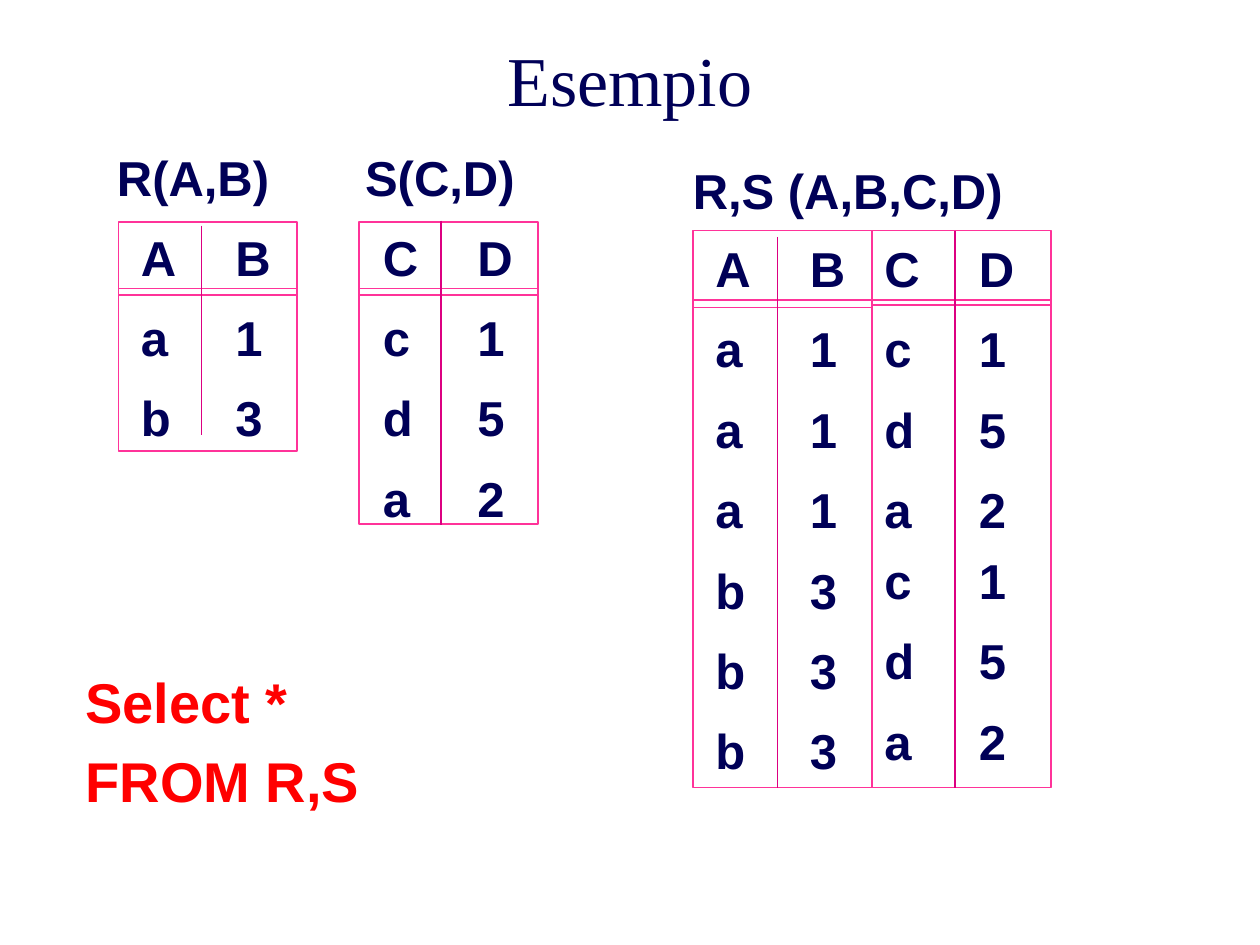
import pptx
import pptx.dml.color
import pptx.enum.shapes
import pptx.enum.text
import pptx.oxml.ns
import pptx.util
from lxml import etree
from pptx.util import Inches

NAVY, PINK, ROSE, RED = "000057", "FF3399", "DC0081", "FF0000"
ANCHOR = pptx.enum.text.MSO_ANCHOR
ALIGN = pptx.enum.text.PP_ALIGN
WIDTH = 1.42
BODY = {"name": "Arial", "size": pptx.util.Pt(28), "bold": True}
QUERY = {"name": "Arial", "size": pptx.util.Pt(32), "bold": True}
TITLE = {"name": "Times New Roman", "size": pptx.util.Pt(40)}

# left, top, height, rule heights, divider (x, top, bottom), text (left, top, height), columns
GRIDS = [
    (0.94, 1.76, 1.82, (2.29, 2.34), (1.6, 1.79, 3.45),
     (1.02, 1.66, 1.93), (["A", "a", "b"], ["B", "1", "3"])),
    (2.85, 1.76, 2.4, (2.29, 2.34), (3.5, 1.75, 4.17),
     (2.94, 1.66, 2.65), (["C", "c", "d", "a"], ["D", "1", "5", "2"])),
    (5.5, 1.83, 4.42, (2.38, 2.44), (6.17, 1.88, 6.25),
     (5.58, 1.75, 4.57), (["A", "a", "a", "a", "b", "b", "b"],
                          ["B", "1", "1", "1", "3", "3", "3"])),
    # The narrow columns wrap "a c" and "21" onto two lines
    (6.92, 1.83, 4.42, (2.38, 2.42), (7.58, 1.83, 6.25),
     (6.92, 1.75, 4.53), (["C", "c", "d", "a c", "d", "a"],
                          ["D", "1", "5", "21", "5", "2"])),
]

HEADS = [
    ("R(A,B)", 0.83, 0.55, 1.8),
    ("S(C,D)", 2.8, 0.55, 1.8),
    ("R,S (A,B,C,D)", 5.4, 0.65, 3),
]


def paint(color, tone):
    color.rgb = pptx.dml.color.RGBColor.from_string(tone)


def space(para):
    """Put a fifth of the text size above the paragraph."""
    para.space_before = pptx.util.Pt(0)
    gap = para._p.pPr.find(pptx.oxml.ns.qn("a:spcBef"))
    gap.clear()
    etree.SubElement(gap, pptx.oxml.ns.qn("a:spcPct"), val="20000")


def write(slide, box, lines, font, tone=NAVY, frame=None, para=None, gap=True):
    text = slide.shapes.add_textbox(*map(Inches, box)).text_frame
    for key, value in {"word_wrap": True, **(frame or {})}.items():
        setattr(text, key, value)
    for num, line in enumerate(lines):
        item = text.add_paragraph() if num else text.paragraphs[0]
        for key, value in (para or {}).items():
            setattr(item, key, value)
        if gap:
            space(item)
        run = item.add_run()
        run.text = line
        for key, value in font.items():
            setattr(run.font, key, value)
        paint(run.font.color, tone)


def rule(slide, start, end, tone):
    line = slide.shapes.add_connector(
        pptx.enum.shapes.MSO_CONNECTOR.STRAIGHT, *map(Inches, start + end))
    line.line.width = pptx.util.Pt(1)
    paint(line.line.color, tone)
    etree.SubElement(line._element.spPr, pptx.oxml.ns.qn("a:effectLst"))


def frame(slide, box):
    shape = slide.shapes.add_shape(
        pptx.enum.shapes.MSO_SHAPE.RECTANGLE, *map(Inches, box))
    shape.shadow.inherit = False
    shape.fill.background()
    shape.line.width = pptx.util.Pt(1)
    paint(shape.line.color, PINK)


def grid(slide, left, top, height, rules, split, text, cols):
    """Draw a two-column relation with a double rule below its header."""
    frame(slide, (left, top, WIDTH, height))
    for y in rules:
        rule(slide, (left, y), (left + WIDTH, y), PINK)
    x, start, end = split
    rule(slide, (x, start), (x, end), ROSE)
    first, y, tall = text
    for num, col in enumerate(cols):
        write(slide, (first + num * 0.75, y, 0.58, tall), col, BODY,
              para={"line_spacing": 1.2})


def main():
    deck = pptx.Presentation()
    deck.slide_width, deck.slide_height = Inches(10), Inches(7.5)
    slide = deck.slides.add_slide(deck.slide_layouts[6])
    write(slide, (0.75, 0, 8.5, 1.25), ["Esempio"], TITLE, gap=False,
          frame={"vertical_anchor": ANCHOR.MIDDLE},
          para={"alignment": ALIGN.CENTER})
    for data in GRIDS:
        grid(slide, *data)
    for label, left, top, width in HEADS:
        write(slide, (left, top, width, 1.14), [label], BODY,
              frame={"vertical_anchor": ANCHOR.BOTTOM})
    write(slide, (0.58, 5.25, 2.4, 1.29), ["Select *", "FROM R,S"], QUERY, RED,
          frame={"word_wrap": False})
    deck.save("out.pptx")


if __name__ == "__main__":
    main()
